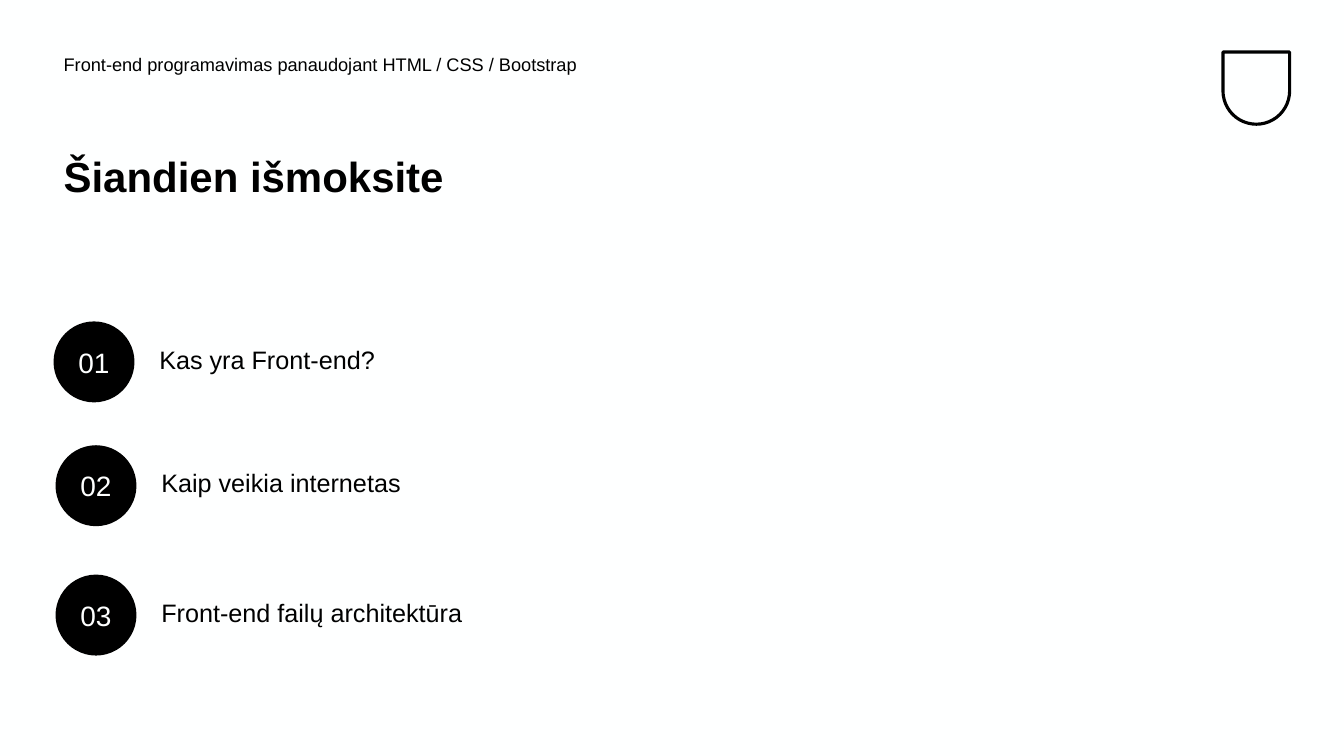
"""Build the lesson agenda slide: header, title and three numbered topics."""
from dataclasses import dataclass

from lxml.etree import SubElement
from pptx import Presentation
from pptx.dml.color import RGBColor
from pptx.enum.shapes import MSO_SHAPE as Kind
from pptx.enum.text import MSO_ANCHOR as Anchor, MSO_AUTO_SIZE as Fit, PP_ALIGN as Align
from pptx.oxml.ns import qn
from pptx.util import Cm, Pt

BLACK = RGBColor(0x00, 0x00, 0x00)
WHITE = RGBColor(0xFE, 0xFF, 0xFF)
DISC = 2.04


@dataclass
class Topic:
    text: str
    left: float
    top: float


TOPICS = [
    Topic("Kas yra Front-end?", 1.35, 8.1),
    Topic("Kaip veikia internetas", 1.4, 11.22),
    Topic("Front-end failų architektūra", 1.4, 14.48),
]


def place(shape, left: float, top: float, width: float, height: float) -> None:
    shape.left, shape.top = Cm(left), Cm(top)
    shape.width, shape.height = Cm(width), Cm(height)


def write(shape, text: str, *, size: int, color: RGBColor = BLACK, bold: bool = False,
          align: Align = Align.LEFT, anchor: Anchor = Anchor.TOP, lead: float = 1.0) -> None:
    frame = shape.text_frame
    frame.text = text
    frame.word_wrap = True
    frame.auto_size = Fit.NONE
    frame.vertical_anchor = anchor
    para = frame.paragraphs[0]
    para.alignment, para.line_spacing = align, lead
    para.space_before = Pt(0)
    props = para._p.get_or_add_pPr()
    props.set("marL", "0")
    props.set("indent", "0")
    SubElement(props, qn("a:buNone"))
    font = para.runs[0].font
    font.name, font.size, font.bold = "Arial", Pt(size), bold
    font.color.rgb = color


def add_topic(slide, body, topic: Topic, number: int) -> None:
    place(body, topic.left + 2.41, topic.top + 0.44, 11.76, 1.12)
    write(body, topic.text, size=18)
    disc = slide.shapes.add_shape(Kind.OVAL, Cm(topic.left), Cm(topic.top), Cm(DISC), Cm(DISC))
    disc.shadow.inherit = False
    disc.fill.solid()
    disc.fill.fore_color.rgb = BLACK
    disc.line.fill.background()
    write(disc, f"{number:02}", size=20, color=WHITE, align=Align.CENTER, anchor=Anchor.MIDDLE)


def add_badge(slide) -> None:
    badge = slide.shapes.add_shape(Kind.ROUND_2_SAME_RECTANGLE, Cm(30.82), Cm(1.31), Cm(1.68), Cm(1.82))
    badge.rotation = 180
    badge.adjustments[0] = 0.5
    badge.shadow.inherit = False
    badge.fill.background()
    badge.line.color.rgb = BLACK
    badge.line.width = Pt(2.25)


def main() -> None:
    deck = Presentation()
    deck.slide_width, deck.slide_height = Cm(33.87), Cm(19.05)
    slide = deck.slides.add_slide(deck.slide_layouts[4])
    slide.background.fill.solid()
    slide.background.fill.fore_color.rgb = WHITE
    title, header, *bodies = slide.placeholders
    add_badge(slide)
    place(header, 1.35, 1.27, 15.6, 1.27)
    write(header, "Front-end programavimas panaudojant HTML / CSS / Bootstrap", size=13, lead=0.9)
    place(title, 1.35, 3.81, 14.33, 3.78)
    write(title, "Šiandien išmoksite", size=30, bold=True, lead=0.9)
    for number, (body, topic) in enumerate(zip(bodies, TOPICS), 1):
        add_topic(slide, body, topic, number)
    deck.save("out.pptx")


if __name__ == "__main__":
    main()
